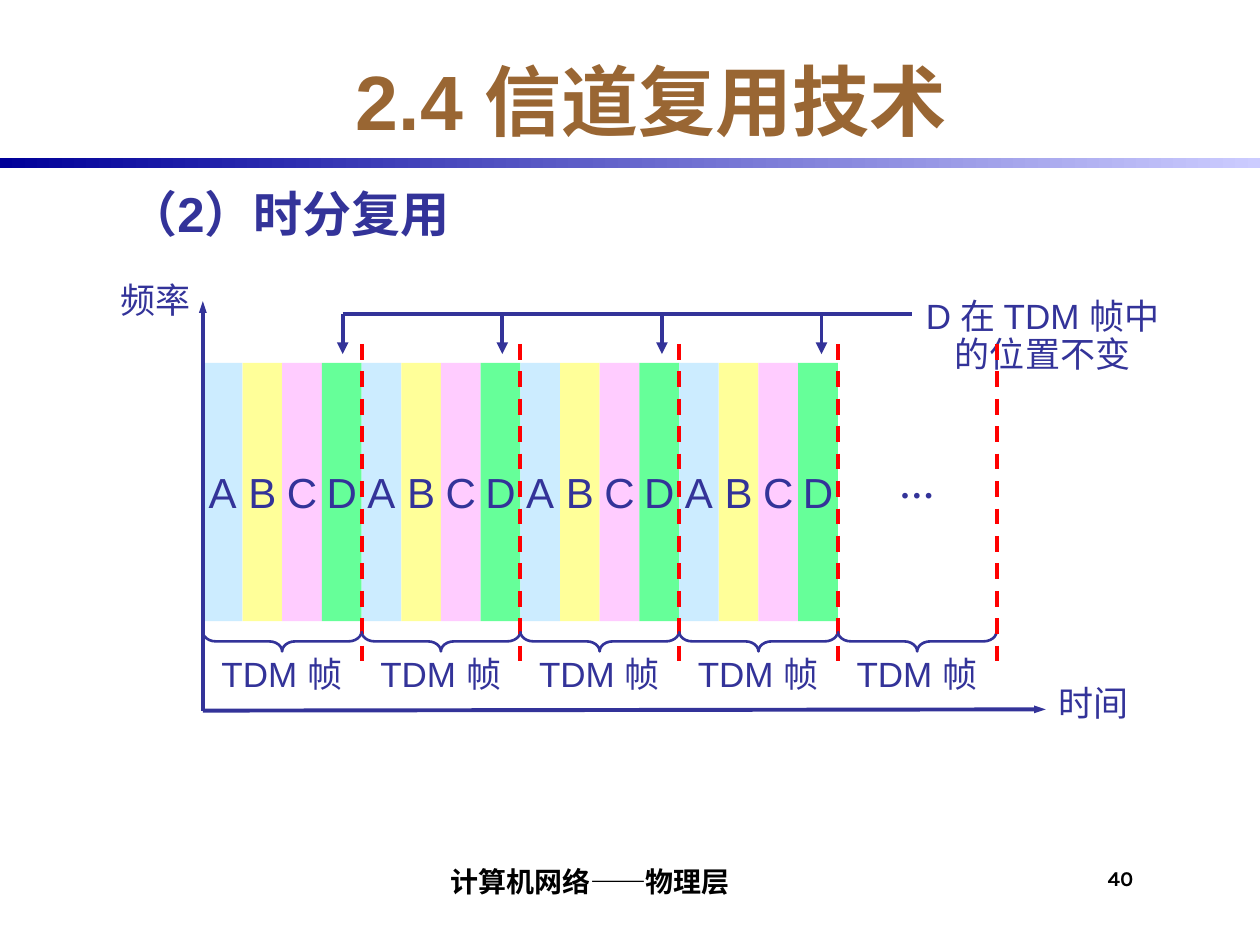
from pptx import Presentation
from pptx.util import Inches, Pt
from pptx.dml.color import RGBColor
from pptx.enum.dml import MSO_LINE as Dash
from pptx.enum.shapes import MSO_SHAPE as Shape, MSO_CONNECTOR as Conn
from pptx.enum.text import PP_ALIGN as Align, MSO_ANCHOR as Anchor, MSO_AUTO_SIZE as Fit
from pptx.oxml.ns import qn
from lxml.etree import SubElement as Sub

INK = "333399"
X0, FRAME = 1.61, 1.26
SLOT = FRAME / 4
SLOTS = [("A", "CCECFF"), ("B", "FFFF99"), ("C", "FFCCFF"), ("D", "66FF99")]


def paint(color, code):
    color.rgb = RGBColor.from_string(code)


def place(shape, x, y, w, h):
    shape.left, shape.top = Inches(x), Inches(y)
    shape.width, shape.height = Inches(w), Inches(h)


def write(frame, lines, size, font="Arial", color=INK, bold=False,
          align=Align.LEFT, space=1.0):
    for i, line in enumerate(lines):
        para = frame.paragraphs[0] if i == 0 else frame.add_paragraph()
        para.alignment = align
        para.line_spacing = space
        para.space_before = Pt(0)
        run = para.add_run()
        run.text = line
        run.font.size = Pt(size)
        run.font.name = font
        run.font.bold = bold
        paint(run.font.color, color)


def label(slide, x, y, w, h, lines, size=20, space=0.9, **style):
    frame = slide.shapes.add_textbox(Inches(x), Inches(y), Inches(w), Inches(h)).text_frame
    frame.word_wrap = True
    write(frame, lines, size, space=space, **style)


def fixed(slide, x, y, w, h, text, size, pads, anchor, align):
    # Footer boxes have their own margins
    frame = slide.shapes.add_textbox(Inches(x), Inches(y), Inches(w), Inches(h)).text_frame
    frame.word_wrap = True
    frame.margin_left, frame.margin_top, frame.margin_right, frame.margin_bottom = map(Inches, pads)
    frame.vertical_anchor = anchor
    write(frame, [text], size, "Karla", "000000", True, align)


def line(slide, x1, y1, x2, y2, color=INK, head=None, dash=False):
    # head is the width of the arrowhead: "sm" or "med"
    link = slide.shapes.add_connector(
        Conn.STRAIGHT, Inches(x1), Inches(y1), Inches(x2), Inches(y2))
    link.line.width = Pt(2.25)
    paint(link.line.color, color)
    if dash:
        link.line.dash_style = Dash.DASH
    if head:
        Sub(link.line._get_or_add_ln(), qn("a:tailEnd"), type="triangle", w=head)
    Sub(link._element.spPr, qn("a:effectLst"))


def shape(slide, kind, x, y, w, h):
    item = slide.shapes.add_shape(kind, Inches(x), Inches(y), Inches(w), Inches(h))
    item.shadow.inherit = False
    return item


def cell(slide, x, text, color):
    box = shape(slide, Shape.RECTANGLE, x, 2.88, SLOT, 2.05)
    box.fill.solid()
    paint(box.fill.fore_color, color)
    box.line.fill.background()
    frame = box.text_frame
    frame.word_wrap = False
    frame.vertical_anchor = Anchor.MIDDLE
    write(frame, [text], 24, align=Align.CENTER)


def brace(slide, x):
    # A left brace turned to point down, centred under its frame
    thick = 0.16
    item = shape(slide, Shape.LEFT_BRACE, x + (FRAME - thick) / 2,
                 5.09 - FRAME / 2, thick, FRAME)
    item.rotation = 270
    item.adjustments[0] = 0.65
    item.fill.background()
    item.line.width = Pt(1.5)
    paint(item.line.color, INK)


def band(slide):
    bar = shape(slide, Shape.RECTANGLE, 0, 1.25, 10, 0.08)
    bar.line.fill.background()
    bar.fill.gradient()
    bar.fill.gradient_angle = 0
    for stop, code in zip(bar.fill.gradient_stops, ("000099", "CCCCFF")):
        paint(stop.color, code)


def heads(slide):
    title, body = slide.shapes.title, slide.placeholders[1]
    place(title, 0.92, 0.33, 8.5, 0.92)
    title.text_frame.auto_size = Fit.NONE
    title.text_frame.vertical_anchor = Anchor.MIDDLE
    write(title.text_frame, ["2.4 信道复用技术"], 44, color="996633",
          bold=True, align=Align.CENTER)

    place(body, 0.92, 1.41, 8.5, 5)
    frame = body.text_frame
    frame.auto_size = Fit.NONE
    props = frame.paragraphs[0]._p.get_or_add_pPr()
    props.set("marL", str(Inches(0.38)))
    props.set("indent", str(Inches(-0.38)))
    Sub(props, qn("a:buNone"))
    write(frame, ["（2）时分复用"], 28, bold=True)


def main():
    deck = Presentation()
    deck.slide_width, deck.slide_height = Inches(10), Inches(7.5)
    slide = deck.slides.add_slide(deck.slide_layouts[1])
    band(slide)
    heads(slide)

    # Time axis and axis names
    line(slide, X0, 5.64, 8.3, 5.63, head="sm")
    label(slide, 0.86, 2.2, 0.8, 0.4, ["频率"], font="Times New Roman")
    label(slide, 8.3, 5.4, 0.8, 0.4, ["时间"], font="Times New Roman")

    # Four full frames of slots
    for f in range(4):
        for s, (name, color) in enumerate(SLOTS):
            cell(slide, X0 + f * FRAME + s * SLOT, name, color)

    # Note on slot D, with one arrow for each frame
    label(slide, 7.1, 2.33, 2.35, 0.7, ["D 在 TDM 帧中", "的位置不变"],
          align=Align.CENTER)
    line(slide, 2.72, 2.49, 7.24, 2.49)
    for f in range(4):
        x = 2.72 + f * 3.8 / 3
        line(slide, x, 2.49, x, 2.81, head="med")

    # Frequency axis and the frame that goes on
    label(slide, 7.04, 3.63, 0.48, 0.43, ["…"], space=1.0,
          font="Times New Roman", bold=True)
    line(slide, X0, 5.64, X0, 2.39, head="sm")

    # Frame names, braces and borders
    for f in range(5):
        x = X0 + f * FRAME
        label(slide, x + 0.05, 5.17, 1.3, 0.4, ["TDM 帧"])
        brace(slide, x)
        line(slide, x + FRAME, 2.73, x + FRAME, 5.32, "FF0000", dash=True)

    # Footer and page number
    fixed(slide, 2.08, 6.75, 5.17, 0.42, "计算机网络——物理层", 16,
          (0.04, 0, 0, 0.04), Anchor.BOTTOM, Align.CENTER)
    fixed(slide, 8.75, 6.83, 0.58, 0.42, "40", 12,
          (0.04, 0.04, 0, 0), Anchor.TOP, Align.LEFT)
    deck.save("out.pptx")


if __name__ == "__main__":
    main()
